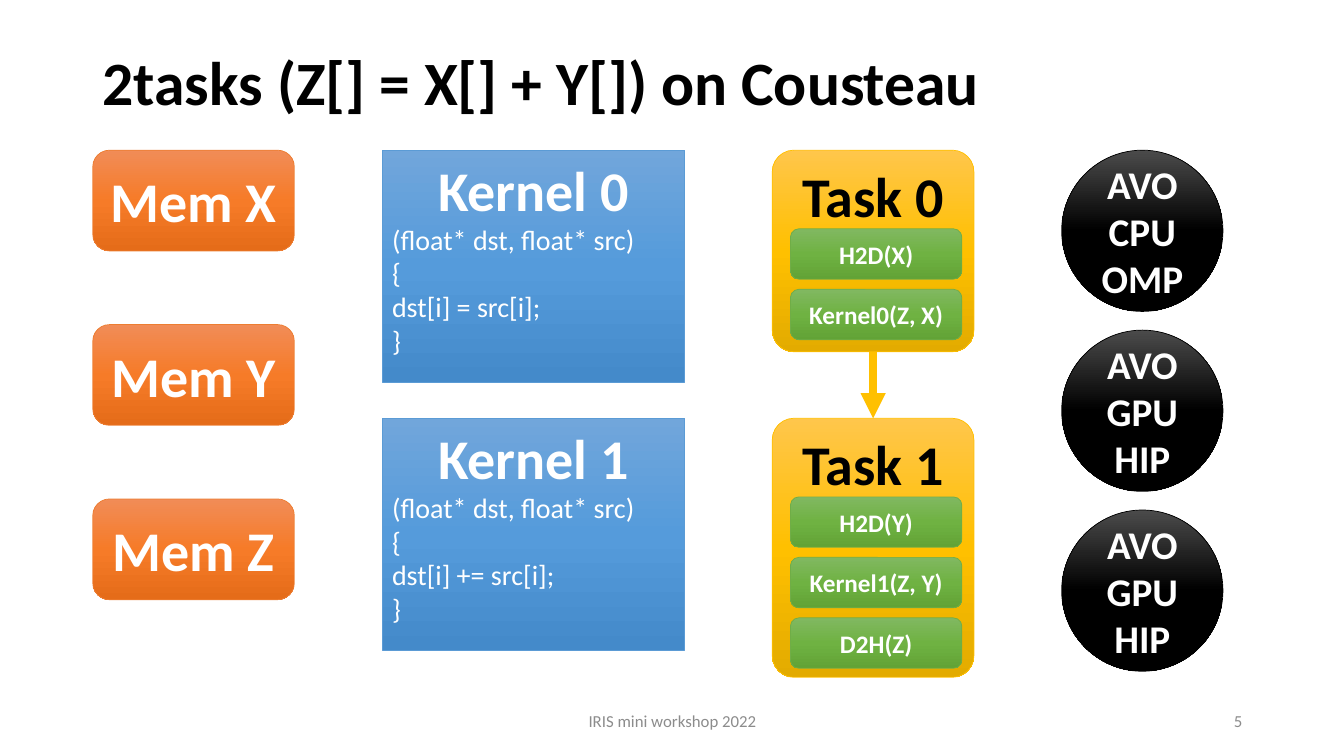
from copy import deepcopy

from pptx import Presentation
from pptx.dml.color import RGBColor as RGB
from pptx.enum.shapes import MSO_CONNECTOR as CONN, MSO_SHAPE as SHAPE
from pptx.enum.text import MSO_ANCHOR as ANCHOR, PP_ALIGN as ALIGN
from pptx.oxml.ns import qn
from pptx.util import Inches, Pt

COLORS = {"black": "000000", "white": "FFFFFF", "grey": "8C8C8C",
          "orange": "ED7D31", "blue": "5B9BD5", "gold": "FFC000", "green": "70AD47"}
GRADIENTS = {
    "orange": ("F18C57", "F67B28", "E56C19"),
    "blue": ("71A6DB", "559BDB", "448ACA"),
    "gold": ("FFC64B", "FFC000", "E3AB00"),
    "green": ("81B861", "6FB242", "62A336"),
    "black": ("4B4B4B", "000000", "000000"),
}

prs = Presentation()
prs.slide_width, prs.slide_height = Inches(13.33), Inches(7.5)
slide = prs.slides.add_slide(prs.slide_layouts[6])


def write(shape, lines, color, anchor=ANCHOR.MIDDLE):
    """Fill a shape with lines of (text, size, bold, alignment)."""
    frame = shape.text_frame
    frame.word_wrap = True
    frame.vertical_anchor = anchor
    for i, (text, size, bold, align) in enumerate(lines):
        paragraph = frame.paragraphs[0] if i == 0 else frame.add_paragraph()
        paragraph.text = text
        paragraph.alignment = align
        font = paragraph.font
        font.name, font.size, font.bold = "Calibri", Pt(size), bold
        font.color.rgb = RGB.from_string(COLORS[color])


def add_block(kind, left, top, width, height, color):
    """Add a shape with a vertical three-stop gradient and a thin outline."""
    block = slide.shapes.add_shape(
        kind, Inches(left), Inches(top), Inches(width), Inches(height))
    block.shadow.inherit = False
    block.fill.gradient()
    block.fill.gradient_angle = 270
    stop_list = block.fill._xPr.find(qn("a:gradFill")).find(qn("a:gsLst"))
    stop_list.append(deepcopy(stop_list[0]))
    for i, (stop, shade) in enumerate(zip(block.fill.gradient_stops, GRADIENTS[color])):
        stop.position = i / 2
        stop.color.rgb = RGB.from_string(shade)
    block.line.color.rgb = RGB.from_string(COLORS[color])
    block.line.width = Pt(0.5)
    return block


# Title, footer and slide number
for text, left, top, width, height, size, bold, align, color in (
    ("2tasks (Z[] = X[] + Y[]) on Cousteau", 0.92, 0.4, 11.5, 0.9, 44, True, ALIGN.LEFT, "black"),
    ("IRIS mini workshop 2022", 4.42, 6.95, 4.5, 0.4, 12, False, ALIGN.CENTER, "grey"),
    ("5", 9.42, 6.95, 3, 0.4, 12, False, ALIGN.RIGHT, "grey"),
):
    label = slide.shapes.add_textbox(Inches(left), Inches(top), Inches(width), Inches(height))
    write(label, [(text, size, bold, align)], color)
    if bold:
        label.text_frame.paragraphs[0].line_spacing = 0.9

TOP = 1.49
SECOND_ROW = 4.15

# Memory objects
for i, name in enumerate("XYZ"):
    memory = add_block(SHAPE.ROUNDED_RECTANGLE, 0.92, TOP + 1.73 * i, 2, 1, "orange")
    write(memory, [(f"Mem {name}", 40, True, ALIGN.CENTER)], "white")

# Kernels with their code
for i, (top, operator) in enumerate(((TOP, "="), (SECOND_ROW, "+="))):
    kernel = add_block(SHAPE.RECTANGLE, 3.79, top, 3, 2.3, "blue")
    code = ("(float* dst, float* src)", "{", f"dst[i] {operator} src[i];", "}")
    write(kernel, [(f"Kernel {i}", 40, True, ALIGN.CENTER)]
          + [(line, 20, False, ALIGN.LEFT) for line in code], "white", ANCHOR.TOP)

# Tasks with their commands
tasks = []
for i, (top, height, commands) in enumerate((
    (TOP, 2, ("H2D(X)", "Kernel0(Z, X)")),
    (SECOND_ROW, 2.57, ("H2D(Y)", "Kernel1(Z, Y)", "D2H(Z)")),
)):
    task = add_block(SHAPE.ROUNDED_RECTANGLE, 7.66, top, 2, height, "gold")
    task.adjustments[0] = 0.107
    write(task, [(f"Task {i}", 40, True, ALIGN.CENTER)], "black", ANCHOR.TOP)
    tasks.append(task)
    for j, text in enumerate(commands):
        command = add_block(SHAPE.ROUNDED_RECTANGLE, 7.84, top + 0.78 + 0.6 * j, 1.7, 0.5, "green")
        write(command, [(text, 18, True, ALIGN.CENTER)], "white")

# Dependency from task 0 to task 1
dependency = slide.shapes.add_connector(
    CONN.STRAIGHT, Inches(8.66), Inches(3.49), Inches(8.66), Inches(SECOND_ROW))
dependency.begin_connect(tasks[0], 2)
dependency.end_connect(tasks[1], 0)
dependency.line.color.rgb = RGB.from_string(COLORS["gold"])
dependency.line.width = Pt(6)
outline = dependency.line._get_or_add_ln()
outline.append(outline.makeelement(qn("a:tailEnd"), {"type": "triangle"}))
properties = outline.getparent()
properties.append(properties.makeelement(qn("a:effectLst"), {}))

# Devices and their runtimes
for i, (device, runtime) in enumerate((("AVO CPU", "OMP"), ("AVO GPU", "HIP"), ("AVO GPU", "HIP"))):
    circle = add_block(SHAPE.OVAL, 10.53, TOP + 1.785 * i, 1.6, 1.6, "black")
    write(circle, [(text, 28, True, ALIGN.CENTER) for text in (device, runtime)], "white")

prs.save("out.pptx")
